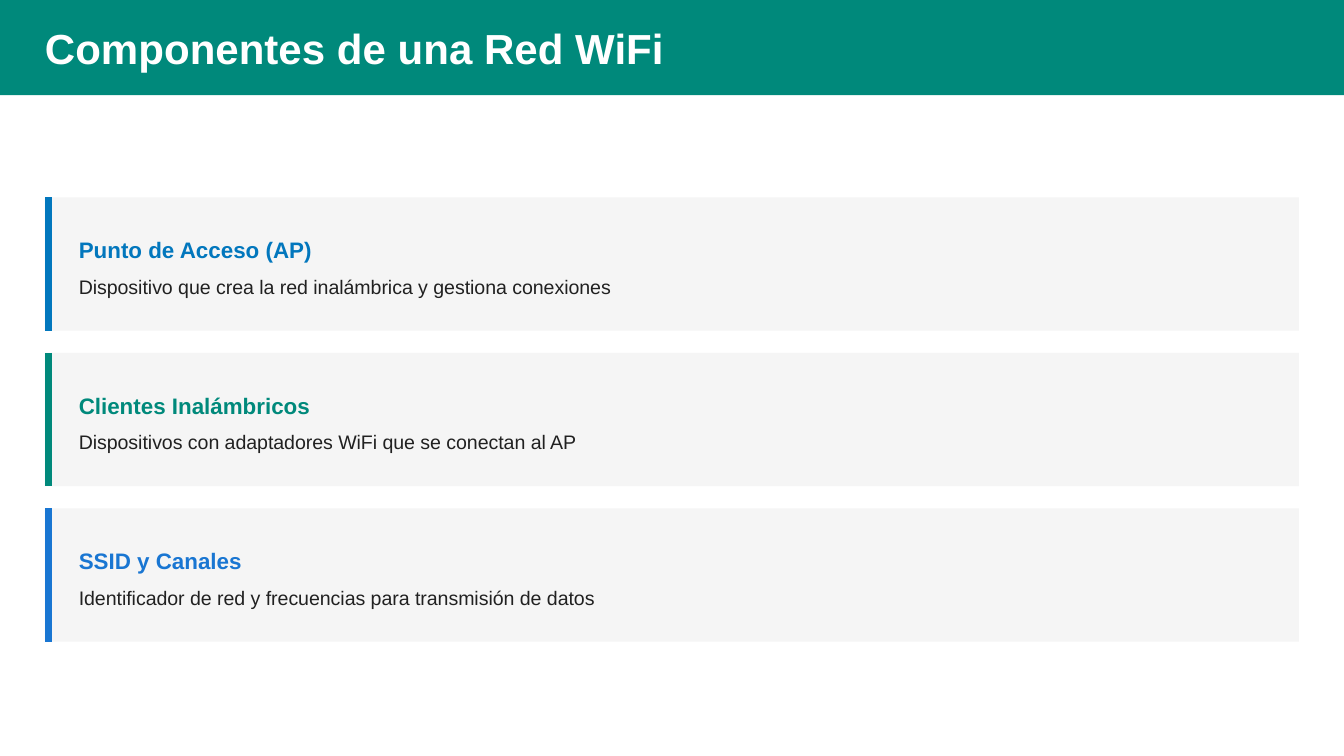
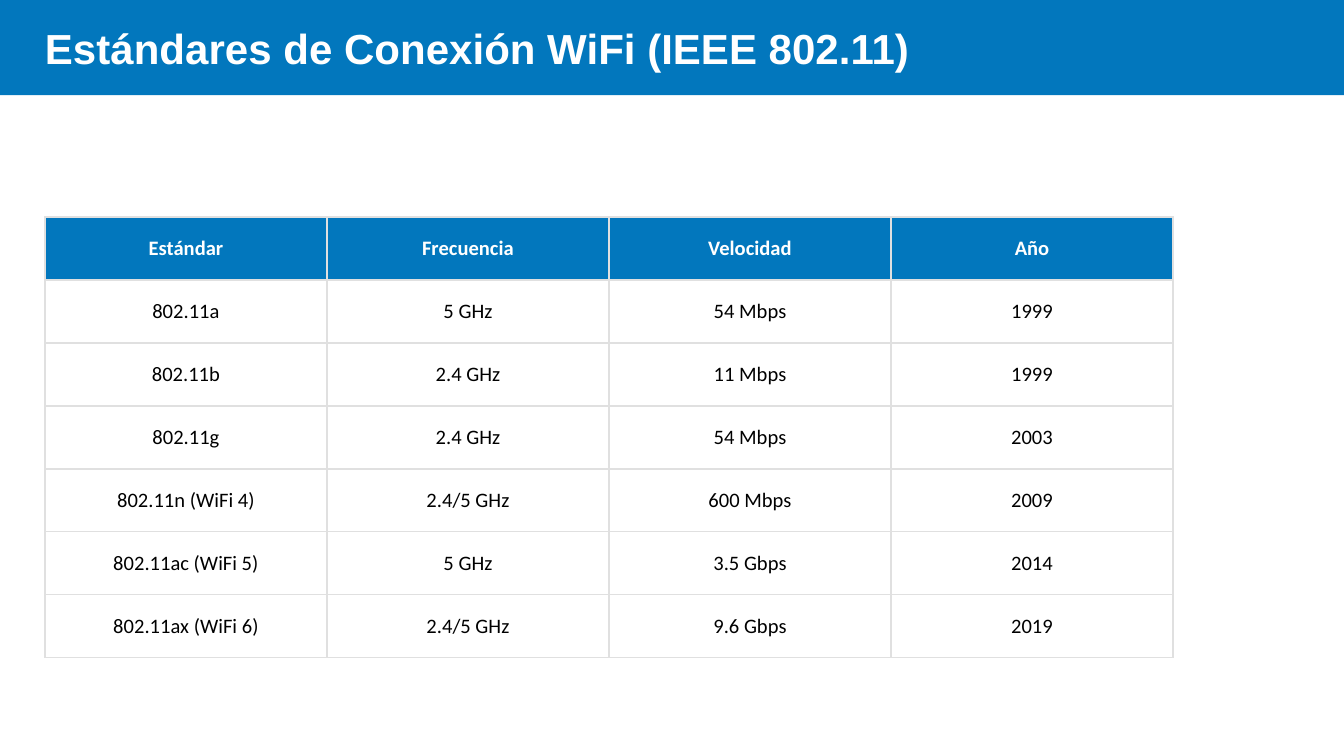
"""Build two slides on WiFi network components and connection standards."""
from lxml import etree
from pptx import Presentation
from pptx.dml.color import RGBColor
from pptx.enum.shapes import MSO_CONNECTOR, MSO_SHAPE
from pptx.enum.text import MSO_ANCHOR, MSO_AUTO_SIZE, PP_ALIGN
from pptx.oxml import parse_xml
from pptx.oxml.ns import nsdecls, qn
from pptx.util import Cm, Pt

RECTANGLE, STRAIGHT = MSO_SHAPE.RECTANGLE, MSO_CONNECTOR.STRAIGHT
TOP, MIDDLE = MSO_ANCHOR.TOP, MSO_ANCHOR.MIDDLE
LEFT, CENTER = PP_ALIGN.LEFT, PP_ALIGN.CENTER
NO_AUTOFIT = MSO_AUTO_SIZE.NONE

COLORS = {
    "blue": "0277BD", "teal": "00897B", "bright": "1976D2", "white": "FFFFFF",
    "card": "F5F5F5", "ink": "212121", "black": "000000", "border": "E0E0E0",
}

COMPONENTS_TITLE = "Componentes de una Red WiFi"
COMPONENTS = [
    ("Punto de Acceso (AP)",
     "Dispositivo que crea la red inalámbrica y gestiona conexiones", "blue"),
    ("Clientes Inalámbricos",
     "Dispositivos con adaptadores WiFi que se conectan al AP", "teal"),
    ("SSID y Canales",
     "Identificador de red y frecuencias para transmisión de datos", "bright"),
]

STANDARDS_TITLE = "Estándares de Conexión WiFi (IEEE 802.11)"
STANDARDS = [
    ("Estándar", "Frecuencia", "Velocidad", "Año"),
    ("802.11a", "5 GHz", "54 Mbps", "1999"),
    ("802.11b", "2.4 GHz", "11 Mbps", "1999"),
    ("802.11g", "2.4 GHz", "54 Mbps", "2003"),
    ("802.11n (WiFi 4)", "2.4/5 GHz", "600 Mbps", "2009"),
    ("802.11ac (WiFi 5)", "5 GHz", "3.5 Gbps", "2014"),
    ("802.11ax (WiFi 6)", "2.4/5 GHz", "9.6 Gbps", "2019"),
]

SLIDE_WIDTH, SLIDE_HEIGHT = 25.4, 14.29
MARGIN = 0.85
CONTENT_WIDTH = SLIDE_WIDTH - 2 * MARGIN
BAND_HEIGHT = 1.8
CARD_TOP, CARD_HEIGHT, CARD_PITCH = 3.73, 2.52, 2.94
ACCENT_WIDTH = 3.75
TEXT_LEFT, TEXT_WIDTH = 1.49, 23.02
TABLE_TOP, COLUMN_WIDTH, ROW_HEIGHT = 4.1, 5.33, 1.19


def color(name):
    return RGBColor.from_string(COLORS[name])


def write(frame, text, size, ink, font="Arial", bold=False, align=LEFT, leading=None):
    paragraph = frame.paragraphs[0]
    paragraph.text = text
    paragraph.alignment = align
    if leading:
        paragraph.line_spacing = Pt(leading)
    paragraph.font.name = font
    paragraph.font.size = Pt(size)
    paragraph.font.bold = bold
    paragraph.font.color.rgb = color(ink)


def clear_margins(frame):
    frame.margin_left = frame.margin_top = frame.margin_right = frame.margin_bottom = 0
    frame.word_wrap = True
    frame.auto_size = NO_AUTOFIT
    frame.vertical_anchor = TOP


def add_rectangle(slide, left, top, width, height, fill):
    shape = slide.shapes.add_shape(RECTANGLE, Cm(left), Cm(top), Cm(width), Cm(height))
    shape.shadow.inherit = False
    shape.fill.solid()
    shape.fill.fore_color.rgb = color(fill)
    shape.line.fill.background()
    return shape


def add_text(slide, text, top, height, **style):
    box = slide.shapes.add_textbox(Cm(TEXT_LEFT), Cm(top), Cm(TEXT_WIDTH), Cm(height))
    clear_margins(box.text_frame)
    write(box.text_frame, text, **style)


def add_titled_slide(presentation, text, band_color):
    slide = presentation.slides.add_slide(presentation.slide_layouts[5])
    title = slide.shapes.title
    title.left, title.top = Cm(MARGIN), Cm(0.42)
    title.width, title.height = Cm(CONTENT_WIDTH), Cm(0.95)
    clear_margins(title.text_frame)
    write(title.text_frame, text, size=22.5, ink="white", bold=True, leading=27)
    band = add_rectangle(slide, 0, 0, SLIDE_WIDTH, BAND_HEIGHT, band_color)
    title._element.addprevious(band._element)
    return slide


def add_card(slide, top, heading, description, accent):
    add_rectangle(slide, MARGIN, top, CONTENT_WIDTH, CARD_HEIGHT, "card")
    accent_x = Cm(MARGIN) + Pt(ACCENT_WIDTH) // 2
    bar = slide.shapes.add_connector(
        STRAIGHT, accent_x, Cm(top), accent_x, Cm(top + CARD_HEIGHT))
    bar.line.color.rgb = color(accent)
    bar.line.width = Pt(ACCENT_WIDTH)
    etree.SubElement(bar._element.spPr, qn("a:effectLst"))
    add_text(slide, heading, top + 0.61, 0.64, size=12, ink=accent, bold=True, leading=18)
    add_text(slide, description, top + 1.38, 0.53, size=10.5, ink="ink", leading=15)


def add_borders(cell):
    properties = cell._tc.get_or_add_tcPr()
    for side in ("lnL", "lnR", "lnT", "lnB"):
        properties.append(parse_xml(
            f'<a:{side} {nsdecls("a")} w="{Pt(1)}"><a:solidFill>'
            f'<a:srgbClr val="{COLORS["border"]}"/></a:solidFill></a:{side}>'))


def add_standards_table(slide):
    row_count, column_count = len(STANDARDS), len(STANDARDS[0])
    table = slide.shapes.add_table(
        row_count, column_count, Cm(MARGIN), Cm(TABLE_TOP),
        Cm(COLUMN_WIDTH * column_count), Cm(ROW_HEIGHT * row_count)).table
    table.first_row = table.horz_banding = False
    for row_index, values in enumerate(STANDARDS):
        header = row_index == 0
        for column_index, value in enumerate(values):
            cell = table.cell(row_index, column_index)
            cell.vertical_anchor = MIDDLE
            add_borders(cell)
            if header:
                cell.fill.solid()
                cell.fill.fore_color.rgb = color("blue")
            else:
                cell.fill.background()
            write(cell.text_frame, value, size=11, ink="white" if header else "black",
                  font="Calibri", bold=header, align=CENTER)


def main():
    presentation = Presentation()
    presentation.slide_width = Cm(SLIDE_WIDTH)
    presentation.slide_height = Cm(SLIDE_HEIGHT)

    components_slide = add_titled_slide(presentation, COMPONENTS_TITLE, "teal")
    for index, component in enumerate(COMPONENTS):
        add_card(components_slide, CARD_TOP + index * CARD_PITCH, *component)

    standards_slide = add_titled_slide(presentation, STANDARDS_TITLE, "blue")
    add_standards_table(standards_slide)
    presentation.save("out.pptx")


if __name__ == "__main__":
    main()
